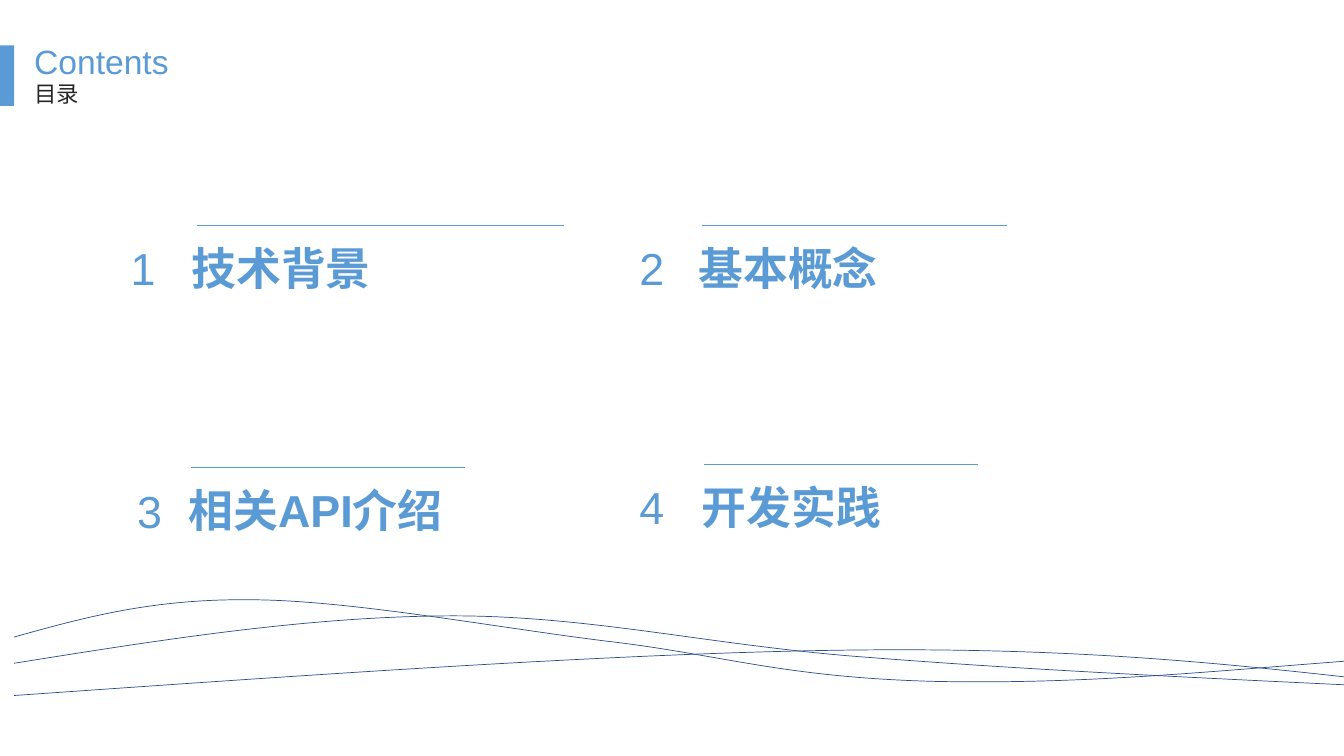
from pptx import Presentation
from pptx.dml.color import RGBColor
from pptx.enum.shapes import MSO_CONNECTOR, MSO_SHAPE
from pptx.enum.text import MSO_ANCHOR, MSO_AUTO_SIZE, PP_ALIGN
from pptx.oxml.ns import qn
from pptx.util import Inches, Pt
from lxml import etree

RECT = MSO_SHAPE.RECTANGLE
LINE = MSO_CONNECTOR.STRAIGHT
TOP = MSO_ANCHOR.TOP
GROW = MSO_AUTO_SIZE.SHAPE_TO_FIT_TEXT
FIXED = MSO_AUTO_SIZE.NONE
LEFT = PP_ALIGN.LEFT
MID = PP_ALIGN.CENTER

COLORS = {"blue": "5B9BD5", "dark": "262626", "wave": "2C4E8C"}
FONT = "Arial"

ITEMS = [
    ("1", "技术背景", (0.97, 2.23, 0.9), (1.8, 2.23, 4.45), (1.95, 5.59, 2.24)),
    ("2", "基本概念", (6.09, 2.23, 0.75), (6.83, 2.23, 4.26), (6.96, 9.99, 2.24)),
    ("3", "相关API介绍", (1.15, 4.64, 0.67), (1.77, 4.63, 3.47), (1.89, 4.61, 4.64)),
    ("4", "开发实践", (6.13, 4.6, 0.67), (6.86, 4.6, 3.75), (6.98, 9.7, 4.61)),
]

WAVES = [
    [(0.14, 6.32), (0.82, 6.13), (1.5, 5.94), (2.47, 5.95), (3.45, 5.95),
     (4.88, 6.22), (6.01, 6.36), (7.14, 6.49), (7.75, 6.72), (9.27, 6.76),
     (10.79, 6.79), (11.99, 6.66), (13.47, 6.55)],
    [(0.14, 6.58), (1.58, 6.35), (3.02, 6.12), (4.43, 6.11), (5.84, 6.1),
     (7.08, 6.41), (8.59, 6.52), (10.1, 6.64), (11.78, 6.72), (13.47, 6.8)],
    [(0.14, 6.9), (3.14, 6.69), (6.14, 6.48), (8.36, 6.45), (10.58, 6.42),
     (12.03, 6.57), (13.47, 6.73)],
]


def color(name):
    """Return the named colour."""
    return RGBColor.from_string(COLORS[name])


def write(frame, text, size=32, tint="blue", bold=False, align=LEFT,
          space=1.2, fit=GROW):
    """Put one formatted paragraph in a text frame."""
    frame.word_wrap = True
    frame.auto_size = fit
    frame.vertical_anchor = TOP
    para = frame.paragraphs[0]
    para.alignment = align
    para.line_spacing = space
    run = para.add_run()
    run.text = text
    run.font.name = FONT
    run.font.size = Pt(size)
    run.font.bold = bold
    run.font.color.rgb = color(tint)


class Deck:
    """Hold the current slide and draw its elements."""

    def __init__(self, show):
        """Add a blank slide."""
        self.slide = show.slides.add_slide(show.slide_layouts[6])
        self.shapes = self.slide.shapes

    def group(self):
        """Send the next elements to a new group."""
        self.shapes = self.slide.shapes.add_group_shape().shapes

    def bar(self, x, y, w, h):
        """Draw a solid bar."""
        shape = self.shapes.add_shape(RECT, Inches(x), Inches(y), Inches(w), Inches(h))
        shape.shadow.inherit = False
        shape.fill.solid()
        shape.fill.fore_color.rgb = color("blue")
        shape.line.fill.background()

    def text(self, words, x, y, w, h=0.75, **style):
        """Draw a text box."""
        box = self.shapes.add_textbox(Inches(x), Inches(y), Inches(w), Inches(h))
        write(box.text_frame, words, **style)

    def rule(self, left, right, y):
        """Draw a thin level line."""
        line = self.shapes.add_connector(
            LINE, Inches(left), Inches(y), Inches(right), Inches(y))
        line.line.color.rgb = color("blue")
        line.line.width = Pt(0.75)
        etree.SubElement(line._element.spPr, qn("a:effectLst"))

    def wave(self, knots):
        """Draw an open chain of cubic curves."""
        points = [(Inches(x), Inches(y)) for x, y in knots]
        start, *ends = points[::3]
        pen = self.shapes.build_freeform(*start)
        pen.add_line_segments(ends, close=False)
        shape = pen.convert_to_shape()
        left = min(x for x, y in points[::3])
        top = min(y for x, y in points[::3])
        for i, edge in enumerate(list(shape._element.iter(qn("a:lnTo")))):
            curve = etree.Element(qn("a:cubicBezTo"))
            for x, y in points[3 * i + 1:3 * i + 4]:
                etree.SubElement(curve, qn("a:pt"), x=str(x - left), y=str(y - top))
            edge.getparent().replace(edge, curve)
        shape.shadow.inherit = False
        shape.fill.background()
        shape.line.color.rgb = color("wave")
        shape.line.width = Pt(0.5)


def main():
    """Build the contents slide."""
    show = Presentation()
    show.slide_width = Inches(13.33)
    show.slide_height = Inches(7.5)
    deck = Deck(show)
    deck.bar(0, 0.45, 0.14, 0.6)
    deck.text("Contents", 0.24, 0.43, 7.17, 0.46, size=24, space=0.8, fit=FIXED)
    deck.text("目录", 0.24, 0.78, 7.17, 0.35, size=16, tint="dark", space=0.9,
              fit=FIXED)
    for num, name, mark, label, rule in ITEMS:
        deck.group()
        deck.rule(*rule)
        deck.text(name, *label, bold=True)
        deck.text(num, *mark, align=MID)
    deck.group()
    for knots in WAVES:
        deck.wave(knots)
    show.save("out.pptx")


if __name__ == "__main__":
    main()
